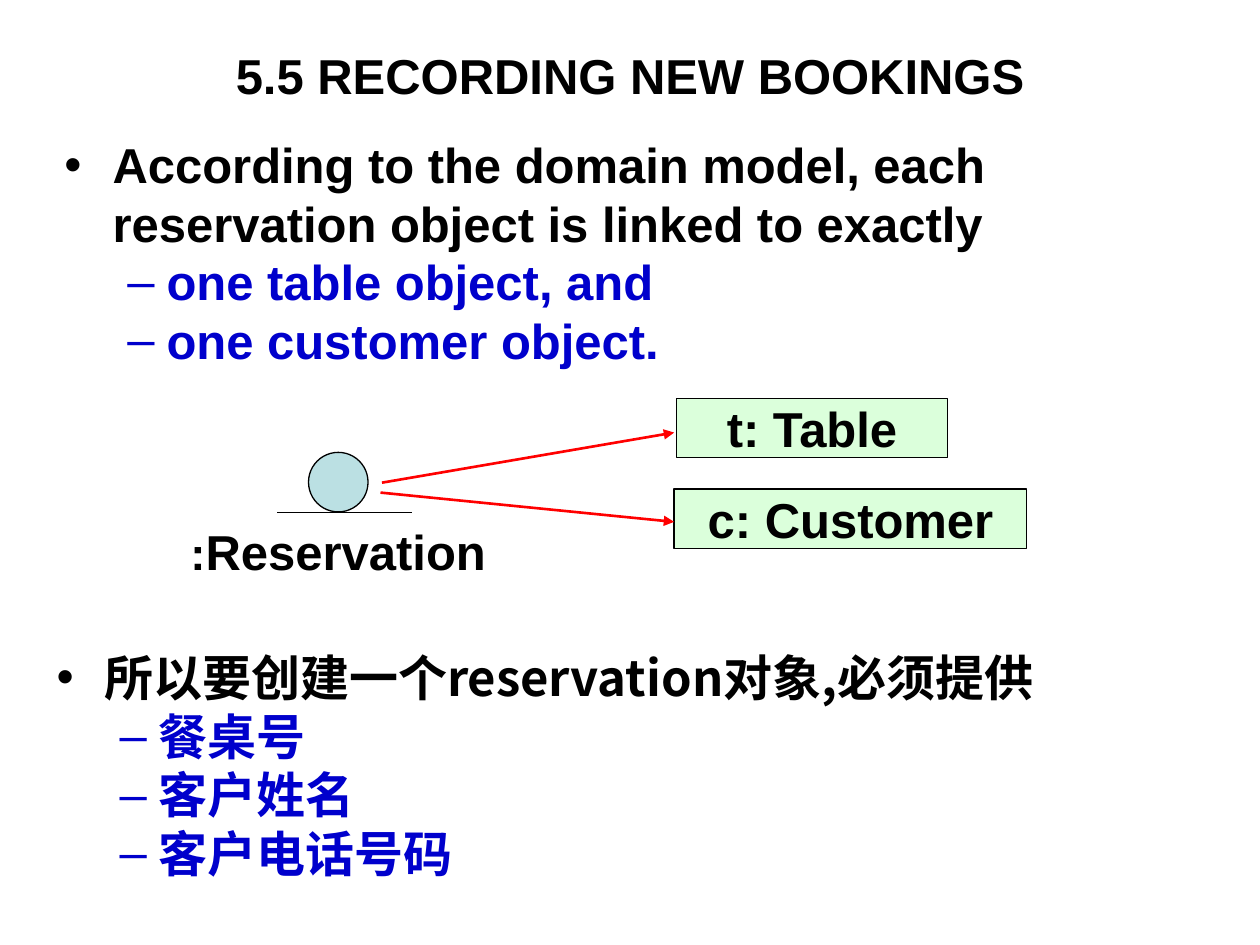
from lxml.etree import SubElement as Sub
from pptx import Presentation
from pptx.dml.color import RGBColor
from pptx.enum.shapes import MSO_CONNECTOR as Link, MSO_SHAPE as Kind
from pptx.enum.text import MSO_ANCHOR as Anchor, PP_ALIGN as Align
from pptx.oxml.ns import qn
from pptx.util import Cm, Pt


def paint(part, tone):
    part.solid()
    part.fore_color.rgb = RGBColor.from_string(tone)


def write(shape, rows, face="Arial", align=Align.LEFT, anchor=Anchor.TOP, pad=(0, 0), bullet=False, lead=33.5):
    frame = shape.text_frame
    frame.word_wrap = True
    frame.vertical_anchor = anchor
    frame.margin_left = frame.margin_right = Cm(pad[0])
    frame.margin_top = frame.margin_bottom = Cm(pad[1])
    for i, row in enumerate(rows):
        para = frame.paragraphs[0] if i == 0 else frame.add_paragraph()
        para.alignment = align
        para.space_before = Pt(0)
        if lead:
            para.line_spacing = Pt(lead)
        tone = "0000CC" if bullet and i else "000000"
        if bullet:
            para.level = min(i, 1)
            left, hang, mark = (2.06, 0.79, "–") if i else (0.97, 0.97, "•")
            props = para._p.get_or_add_pPr()
            props.set("marL", str(Cm(left)))
            props.set("indent", str(-Cm(hang)))
            Sub(Sub(props, qn("a:buClr")), qn("a:srgbClr"), val=tone)
            Sub(props, qn("a:buFont"), typeface="Arial")
            Sub(props, qn("a:buChar"), char=mark)
        for text, size in row if isinstance(row, list) else [(row, 28)]:
            run = para.add_run()
            run.text = text
            font = run.font
            font.size, font.bold, font.name = Pt(size), True, face
            paint(font.fill, tone)
            Sub(run._r.get_or_add_rPr(), qn("a:ea"), typeface=face)


deck = Presentation()
deck.slide_width, deck.slide_height = Cm(25.4), Cm(19.05)
slide = deck.slides.add_slide(deck.slide_layouts[5])
shapes = slide.shapes

title = shapes.title
title.left, title.top, title.width, title.height = Cm(1.27), Cm(0.53), Cm(22.86), Cm(1.96)
write(title, ["5.5 RECORDING NEW BOOKINGS"], align=Align.CENTER, anchor=Anchor.MIDDLE, pad=(0.25, 0.13), lead=None)

model = shapes.add_textbox(Cm(1.3), Cm(2.72), Cm(22.6), Cm(4.8))
write(model, ["According to the domain model, each reservation object is linked to exactly",
              "one table object, and", "one customer object."], bullet=True)

ball = shapes.add_shape(Kind.OVAL, Cm(6.22), Cm(9.12), Cm(1.2), Cm(1.2))
ball.shadow.inherit = False
paint(ball.fill, "BBE0E3")
paint(ball.line.fill, "000000")
ball.line.width = Pt(0.75)

label = shapes.add_textbox(Cm(3.84), Cm(10.52), Cm(6.27), Cm(1.2))
write(label, [[(":", 26), ("Reservation", 28)]])

for text, x, y, w in [("t: Table", 13.64, 8.03, 5.46), ("c: Customer", 13.59, 9.86, 7.11)]:
    box = shapes.add_shape(Kind.RECTANGLE, Cm(x), Cm(y), Cm(w), Cm(1.2))
    box.shadow.inherit = False
    paint(box.fill, "00FF00")
    Sub(box._element.spPr.find(qn("a:solidFill"))[0], qn("a:alpha"), val="14000")
    paint(box.line.fill, "000000")
    box.line.width = Pt(0.75)
    write(box, [text], align=Align.CENTER, anchor=Anchor.MIDDLE)

for ends, tone, wide in [((5.59, 10.33, 8.31, 10.33), "000000", 0.75),
                         ((7.7, 9.73, 13.59, 8.72), "FF0000", 1.5),
                         ((7.67, 9.93, 13.59, 10.52), "FF0000", 1.5)]:
    line = shapes.add_connector(Link.STRAIGHT, *map(Cm, ends))
    paint(line.line.fill, tone)
    line.line.width = Pt(wide)
    if tone == "FF0000":
        Sub(line.line._get_or_add_ln(), qn("a:tailEnd"), type="triangle")
    Sub(line._element.spPr, qn("a:effectLst"))

needs = shapes.add_textbox(Cm(0.89), Cm(12.93), Cm(23.7), Cm(5.41))
write(needs, ["所以要创建一个reservation对象,必须提供", "餐桌号", "客户姓名", "客户电话号码"],
      face="Noto Sans CJK SC", pad=(0.25, 0.13), bullet=True)

deck.save("out.pptx")
